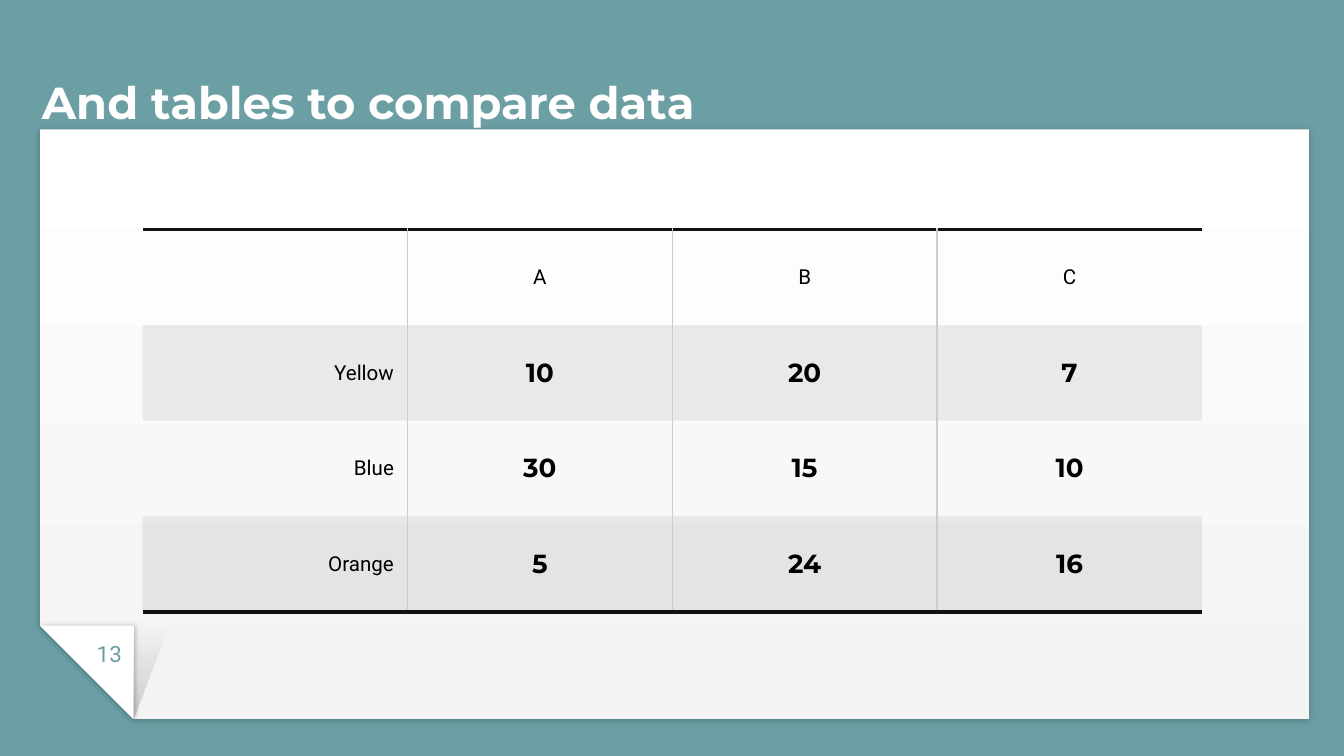
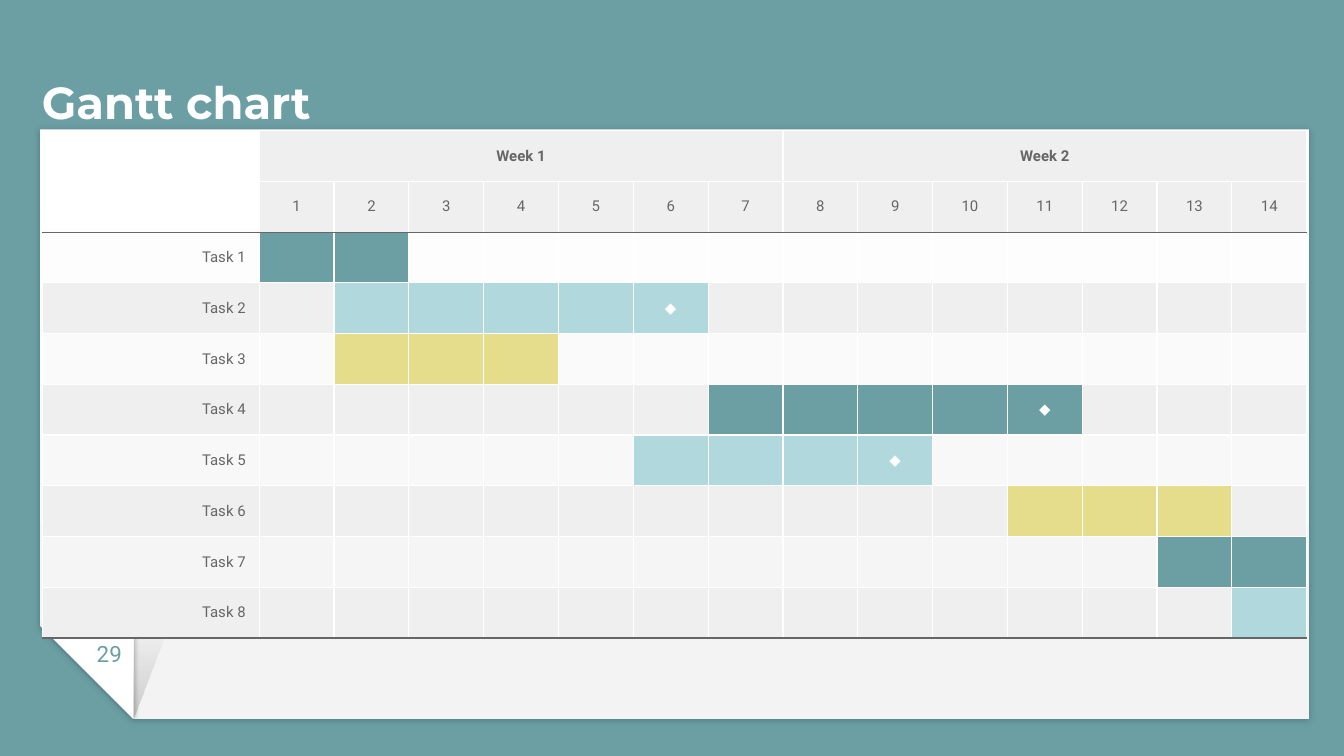
from lxml.etree import SubElement
from pptx import Presentation
from pptx.dml.color import RGBColor
from pptx.enum.shapes import MSO_SHAPE
from pptx.enum.text import MSO_ANCHOR, PP_ALIGN
from pptx.oxml.ns import qn
from pptx.util import Pt

# Content
COLORS = {
    "teal": "6B9FA4", "aqua": "B1D9DD", "yellow": "E6DD8C", "white": "FFFFFF",
    "paper": "F3F3F3", "band": "EFEFEF", "rule": "CCCCCC", "gray": "666666",
    "ink": "111111", "black": "000000",
}
HEAD, BODY = "Montserrat", "Roboto"

COMPARE = {
    "title": "And tables to compare data", "number": "13",
    "rows": [
        ["", "A", "B", "C"],
        ["Yellow", "10", "20", "7"],
        ["Blue", "30", "15", "10"],
        ["Orange", "5", "24", "16"],
    ],
}
GANTT = {
    "title": "Gantt chart", "number": "29",
    "weeks": ["Week 1", "Week 2"], "days_per_week": 7,
    # name, first day, last day, colour, milestone day
    "tasks": [
        ("Task 1", 1, 2, "teal", None),
        ("Task 2", 2, 6, "aqua", 6),
        ("Task 3", 2, 4, "yellow", None),
        ("Task 4", 7, 11, "teal", 11),
        ("Task 5", 6, 9, "aqua", 9),
        ("Task 6", 11, 13, "yellow", None),
        ("Task 7", 13, 14, "teal", None),
        ("Task 8", 14, 14, "aqua", None),
    ],
}

# Geometry in points
CARD = (21.5, 69.3, 680, 316)
FOLD = 50.2
FOLD_SHADE = 18.7
NO_STYLE = "{2D5ABB26-0587-4C30-8999-92F81FD0307C}"


def rgb(name):
    return RGBColor.from_string(COLORS[name])


def add(parent, tag, **attrs):
    return SubElement(parent, qn(tag), {k: str(v) for k, v in attrs.items()})


def add_color(parent, name, alpha=100):
    clr = add(parent, "a:srgbClr", val=COLORS[name])
    if alpha < 100:
        add(clr, "a:alpha", val=alpha * 1000)


def style_run(p, size, font, color, bold=False):
    for r in p.runs:
        r.font.size, r.font.name, r.font.bold = Pt(size), font, bold
        r.font.color.rgb = rgb(color)


# Shared frame: background, folded card, title, page number
def add_part(slide, shape, box, fill=None, gradient=None, shadow=None):
    sp = slide.shapes.add_shape(shape, *map(Pt, box))
    sp.rotation = 180
    sp.line.fill.background()
    sp.shadow.inherit = False
    if fill:
        sp.fill.solid()
        sp.fill.fore_color.rgb = rgb(fill)
    if gradient:
        angle, stops = gradient
        grad = add(sp._element.spPr, "a:gradFill", rotWithShape=1)
        gs_list = add(grad, "a:gsLst")
        for pos, (color, alpha) in zip((0, 100000), stops):
            add_color(add(gs_list, "a:gs", pos=pos), color, alpha)
        add(grad, "a:lin", ang=angle * 60000, scaled=0)
        sp._element.spPr.find(qn("a:prstGeom")).addnext(grad)
    if shadow:
        blur, angle = shadow
        effects = sp._element.spPr.find(qn("a:effectLst"))
        outer = add(effects, "a:outerShdw", blurRad=Pt(blur), dist=Pt(0.8),
                    dir=angle * 60000, algn="bl", rotWithShape=0)
        add_color(outer, "black", 20)
    return sp


def add_text(slide, box, text, size, font, color, bold=False, inset=0,
             anchor=MSO_ANCHOR.TOP, align=PP_ALIGN.LEFT):
    tf = slide.shapes.add_textbox(*map(Pt, box)).text_frame
    tf.word_wrap = True
    tf.vertical_anchor = anchor
    tf.margin_left = tf.margin_right = tf.margin_top = tf.margin_bottom = Pt(inset)
    tf.text = text
    p = tf.paragraphs[0]
    p.alignment = align
    style_run(p, size, font, color, bold)


def add_frame(prs, content):
    slide = prs.slides.add_slide(prs.slide_layouts[6])
    slide.background.fill.solid()
    slide.background.fill.fore_color.rgb = rgb("teal")
    left, top, width, height = CARD
    fold_top = top + height - FOLD
    card = add_part(slide, MSO_SHAPE.SNIP_1_RECTANGLE, CARD, shadow=(3.4, 90),
                    gradient=(270, [("white", 100), ("paper", 100)]))
    card.adjustments[0] = FOLD / height
    add_part(slide, MSO_SHAPE.RIGHT_TRIANGLE, (left, fold_top, FOLD, FOLD),
             fill="white", shadow=(2.2, 0))
    shade = add_part(slide, MSO_SHAPE.RIGHT_TRIANGLE,
                     (left + FOLD, fold_top, FOLD_SHADE, FOLD),
                     gradient=(90, [("black", 17), ("black", 0)]))
    shade._element.spPr.find(qn("a:xfrm")).set("flipH", "1")
    add_text(slide, (22.5, 28.1, 661.5, 41), content["title"], 24, HEAD, "white",
             bold=True, anchor=MSO_ANCHOR.BOTTOM)
    add_text(slide, (40.2, 335.5, 36.7, 24.5), content["number"], 12, BODY, "teal",
             inset=7.2, align=PP_ALIGN.CENTER)
    return slide


# Tables
def add_plain_table(slide, left, top, widths, row_height, n_rows):
    frame = slide.shapes.add_table(n_rows, len(widths), Pt(left), Pt(top),
                                   Pt(sum(widths)), Pt(row_height * n_rows))
    table = frame.table
    table.first_row = table.horz_banding = False
    table._tbl.tblPr.find(qn("a:tableStyleId")).text = NO_STYLE
    for col, width in zip(table.columns, widths):
        col.width = Pt(width)
    for row in table.rows:
        row.height = Pt(row_height)
    return table


def set_cell(cell, text, size, font, color, align, pad, borders,
             bold=False, fill=None, alpha=100):
    cell.vertical_anchor = MSO_ANCHOR.MIDDLE
    cell.margin_left = cell.margin_right = Pt(7.2)
    cell.margin_top = cell.margin_bottom = Pt(pad)
    p = cell.text_frame.paragraphs[0]
    p.alignment = align
    if text:
        p.text = text
        style_run(p, size, font, color, bold)
    else:
        add(p._p, "a:endParaRPr", sz=size * 100)
    tcPr = cell._tc.get_or_add_tcPr()
    for side in "LRTB":
        if side in borders:
            line_color, width = borders[side]
            ln = add(tcPr, f"a:ln{side}", w=Pt(width), cmpd="sng")
            add_color(add(ln, "a:solidFill"), line_color)
    if fill:
        add_color(add(tcPr, "a:solidFill"), fill, alpha)
    else:
        add(tcPr, "a:noFill")


def build_compare(prs):
    slide = add_frame(prs, COMPARE)
    rows = COMPARE["rows"]
    last_row, last_col = len(rows) - 1, len(rows[0]) - 1
    table = add_plain_table(slide, 76.4, 123, [141.9] * len(rows[0]), 51.2, len(rows))
    for i, row in enumerate(rows):
        for j, text in enumerate(row):
            borders = {}
            if j > 0:
                borders["L"] = ("rule", 0.75)
            if j < last_col:
                borders["R"] = ("rule", 0.75)
            if i == 0:
                borders["T"] = ("ink", 2.25)
            if i == last_row:
                borders["B"] = ("ink", 2.25)
            is_value = i > 0 and j > 0
            size, font = (14, HEAD) if is_value else (11, BODY)
            align = PP_ALIGN.RIGHT if i > 0 and j == 0 else PP_ALIGN.CENTER
            set_cell(table.cell(i, j), text, size, font, "black", align, 5, borders,
                     bold=is_value, fill="ink" if i % 2 else None, alpha=7)


def build_gantt(prs):
    slide = add_frame(prs, GANTT)
    tasks, span = GANTT["tasks"], GANTT["days_per_week"]
    n_days = span * len(GANTT["weeks"])
    n_rows = len(tasks) + 2
    table = add_plain_table(slide, 22.6, 70, [116.3] + [40.1] * n_days, 27.2, n_rows)

    def put(i, j, text="", color="gray", align=PP_ALIGN.CENTER, **look):
        borders = dict.fromkeys("LRTB", ("white", 0.75))
        if i == 2:
            borders["T"] = ("gray", 0.75)
        if i in (1, n_rows - 1):
            borders["B"] = ("gray", 0.75)
        set_cell(table.cell(i, j), text, 8, BODY, color, align, 3.6, borders, **look)

    # Week and day headings
    put(0, 0)
    put(1, 0)
    for day in range(1, n_days + 1):
        week, offset = divmod(day - 1, span)
        put(0, day, "" if offset else GANTT["weeks"][week], bold=True, fill="band")
        put(1, day, str(day), fill="band")
    for first in range(1, n_days + 1, span):
        table.cell(0, first).merge(table.cell(0, first + span - 1))

    # Task rows
    for i, (name, start, end, color, milestone) in enumerate(tasks, 2):
        band = "band" if i % 2 else None
        put(i, 0, name, align=PP_ALIGN.RIGHT, fill=band)
        for day in range(1, n_days + 1):
            put(i, day, "◆" if day == milestone else "", color="white",
                fill=color if start <= day <= end else band)


def main():
    prs = Presentation()
    prs.slide_width, prs.slide_height = Pt(720), Pt(405)
    build_compare(prs)
    build_gantt(prs)
    prs.save("out.pptx")


if __name__ == "__main__":
    main()
